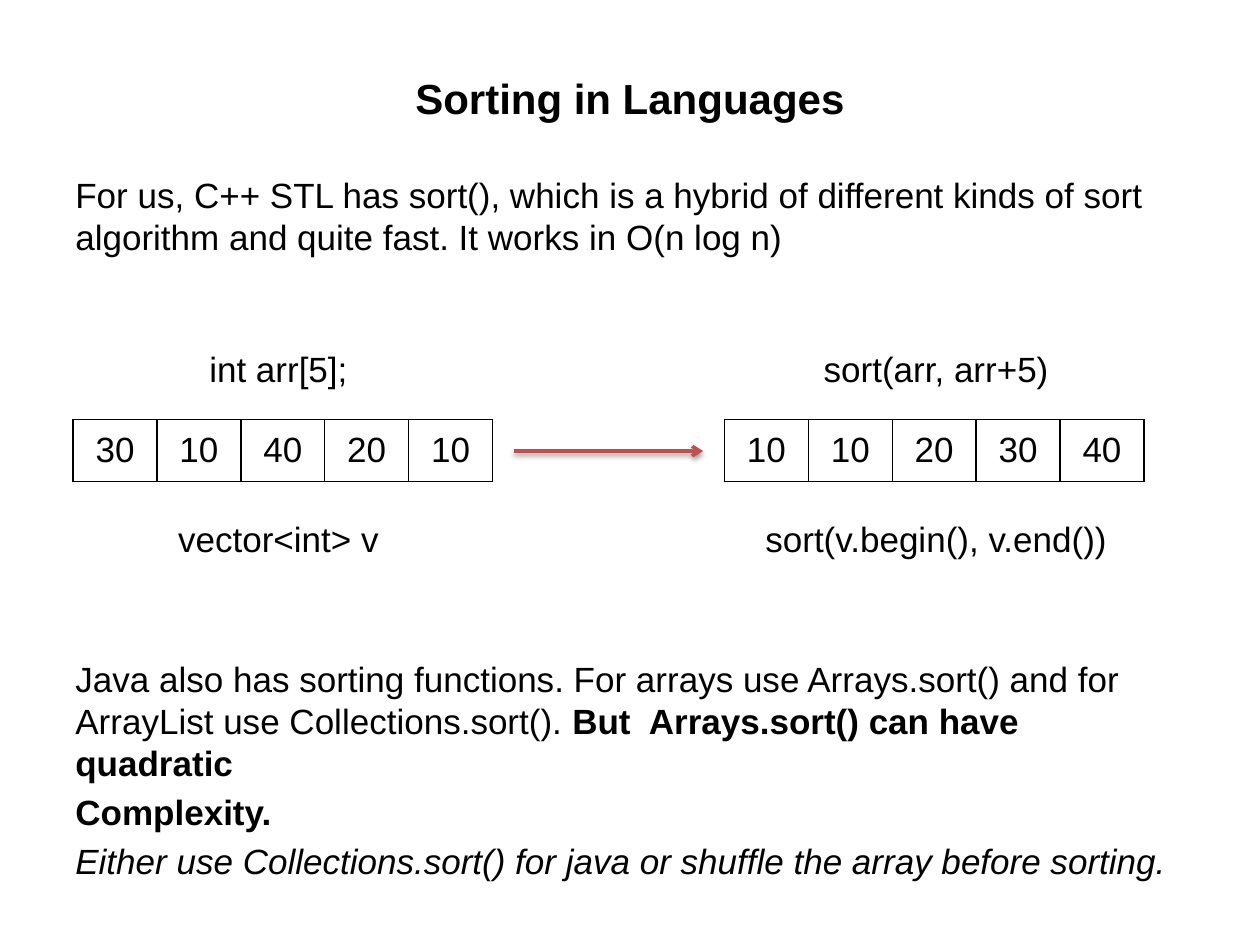
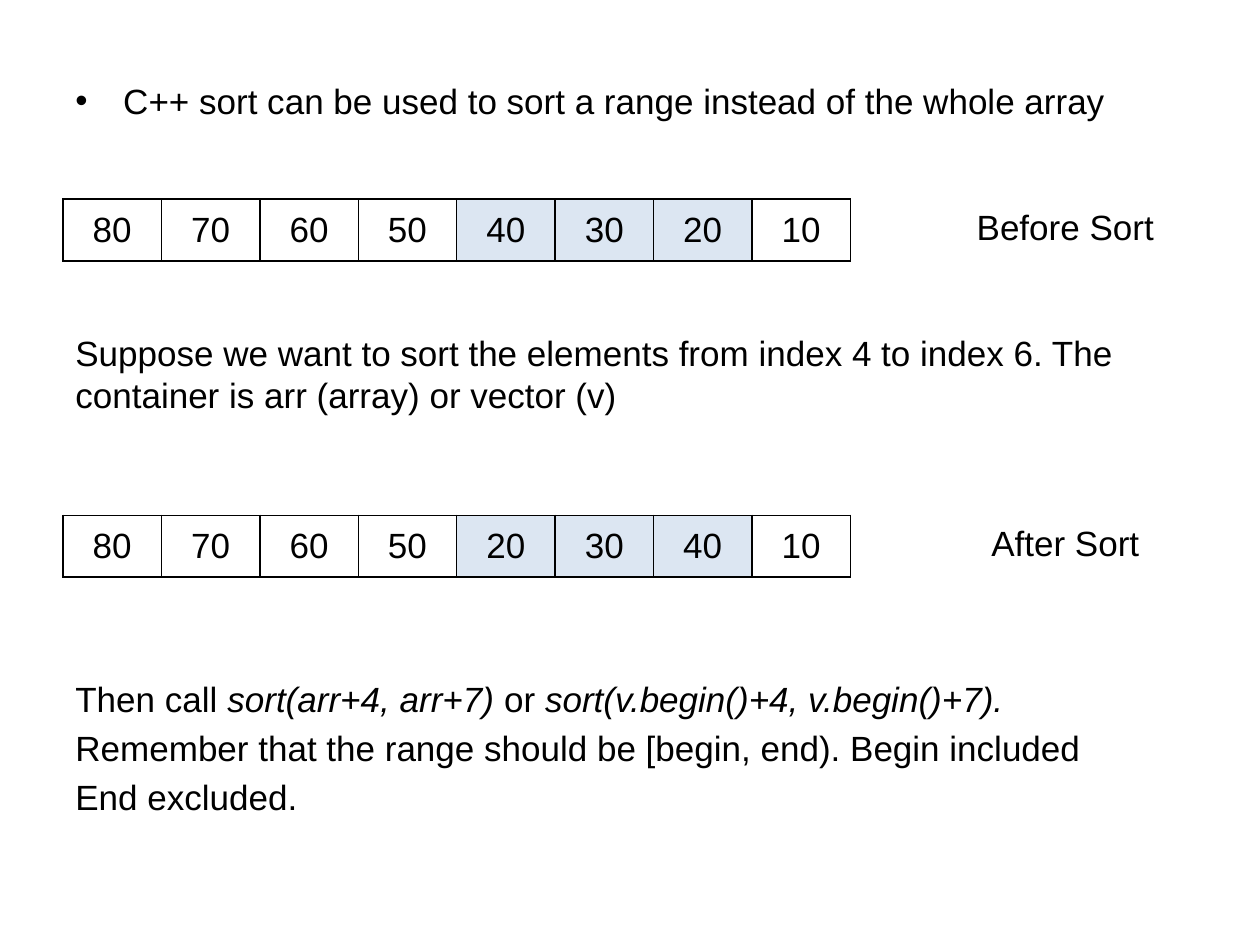
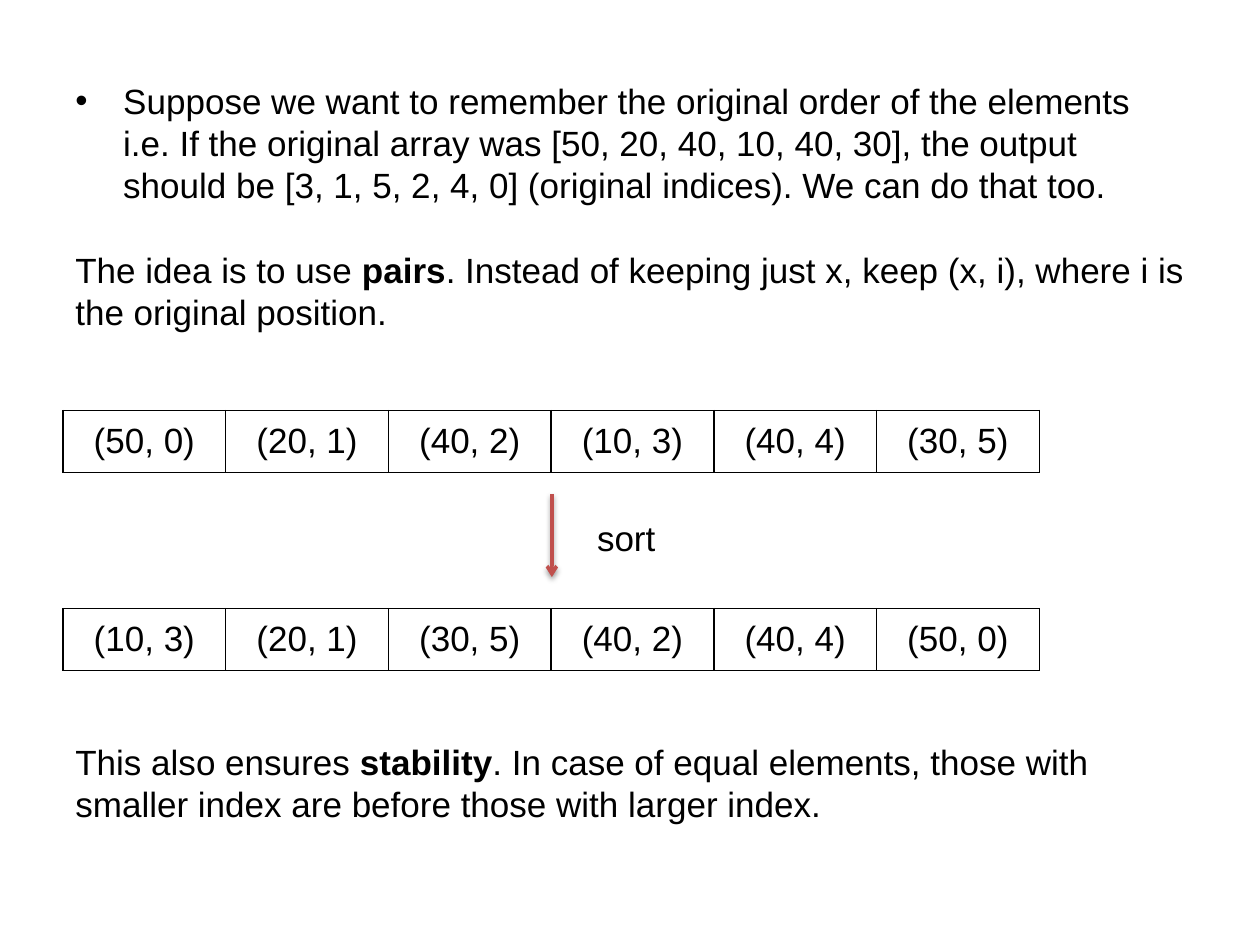
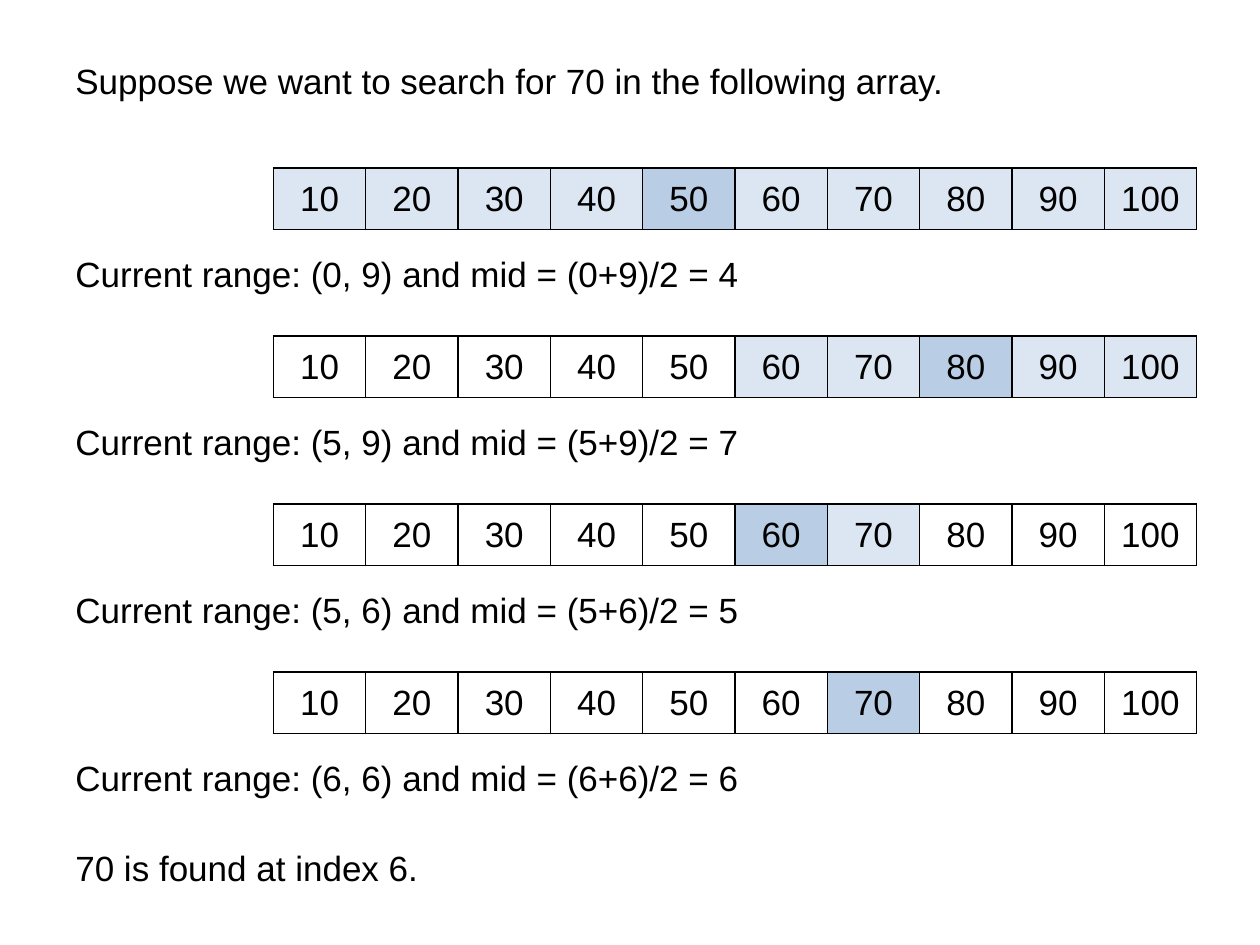
from lxml import etree
from pptx import Presentation
from pptx.dml.color import RGBColor
from pptx.enum import shapes, text
from pptx.oxml import ns
from pptx.util import Emu, Inches, Pt

COLORS = {
    "text": "000000",
    "border": "000000",
    "cell": "FFFFFF",
    "range": "DCE6F2",
    "mid": "B9CDE5",
    "arrow": "C0504D",
    "shadow": "000000",
}
FONT = "Arial"
BODY_SIZE, TITLE_SIZE = 20, 24
LEFT, WIDTH = Inches(0.5), Inches(9)
ROW_H, LABEL_H = Inches(0.49), Inches(0.44)
CENTER = text.PP_ALIGN.CENTER


def rgb(name):
    return RGBColor.from_string(COLORS[name])


def sub(parent, tag, **attrs):
    return etree.SubElement(parent, ns.qn(tag), {k: str(v) for k, v in attrs.items()})


def style_run(r, style="", size=BODY_SIZE):
    """Apply the deck font; style may hold b (bold) and i (italic)."""
    r.font.name, r.font.size = FONT, Pt(size)
    r.font.color.rgb = rgb("text")
    r.font.bold = "b" in style
    r.font.italic = "i" in style


def add_text(slide, box, *paragraphs, align=None, before=4, size=BODY_SIZE, bullet=False):
    """Each paragraph is a string or a list of (text, style) runs."""
    tf = slide.shapes.add_textbox(*box).text_frame
    tf.word_wrap = True
    for i, runs in enumerate(paragraphs):
        p = tf.paragraphs[0] if i == 0 else tf.add_paragraph()
        p.alignment, p.space_before = align, Pt(before)
        for content, style in [(runs, "")] if isinstance(runs, str) else runs:
            r = p.add_run()
            r.text = content
            style_run(r, style, size)
        if bullet:
            pPr = p._p.get_or_add_pPr()
            pPr.set("marL", str(Inches(0.38)))
            pPr.set("indent", str(-Inches(0.38)))
            sub(pPr, "a:buFont", typeface=FONT)
            sub(pPr, "a:buChar", char="•")
    return tf


def body(slide, top, height, *paragraphs, **options):
    return add_text(slide, (LEFT, Inches(top), WIDTH, Inches(height)), *paragraphs, **options)


def title(slide, content):
    tf = body(slide, 0.3, 0.95, [(content, "b")], align=CENTER, before=0, size=TITLE_SIZE)
    tf.vertical_anchor = text.MSO_ANCHOR.MIDDLE


def label(slide, box, content, align=CENTER):
    add_text(slide, box, content, align=align, before=0)


def border_cell(cell):
    tcPr = cell._tc.get_or_add_tcPr()
    for side in ("L", "R", "T", "B"):
        ln = sub(tcPr, f"a:ln{side}", w=Pt(1))
        sub(sub(ln, "a:solidFill"), "a:srgbClr", val=COLORS["border"])


def array(slide, left, top, width, values, fills=None):
    """Draw values as one row of cells; fills maps an index to a colour name."""
    table = slide.shapes.add_table(1, len(values), left, top, width, ROW_H).table
    table.first_row = table.horz_banding = False
    for i, value in enumerate(values):
        table.columns[i].width = Emu(width // len(values))
        cell = table.cell(0, i)
        border_cell(cell)
        cell.fill.solid()
        cell.fill.fore_color.rgb = rgb((fills or {}).get(i, "cell"))
        cell.vertical_anchor = text.MSO_ANCHOR.MIDDLE
        p = cell.text_frame.paragraphs[0]
        p.text, p.alignment = str(value), CENTER
        style_run(p.runs[0])


def arrow(slide, *ends):
    c = slide.shapes.add_connector(shapes.MSO_CONNECTOR.STRAIGHT, *map(Inches, ends))
    c.line.color.rgb, c.line.width = rgb("arrow"), Pt(2)
    sub(c.line._get_or_add_ln(), "a:tailEnd", type="arrow")
    effects = sub(c._element.spPr, "a:effectLst")
    shadow = sub(effects, "a:outerShdw", blurRad=Pt(3.1), dist=Pt(1.6),
                 dir=90 * 60000, rotWithShape=0)
    sub(sub(shadow, "a:srgbClr", val=COLORS["shadow"]), "a:alpha", val=38000)


def captioned_array(slide, left, top, label_dx, above, values, below):
    """An array with one caption over it and one under it."""
    array(slide, left, top + Inches(0.62), Inches(3.33), values)
    for dy, caption in ((0, above), (1.35, below)):
        label(slide, (left + Inches(label_dx), top + Inches(dy), Inches(2.92), LABEL_H), caption)


def sort_state(slide, top, values, caption):
    """An array with the sorted range tinted and its state named at the right."""
    array(slide, LEFT, top, Inches(6.25), values, dict.fromkeys(range(4, 7), "range"))
    add_text(slide, (Inches(7.33), top, Inches(2.25), Inches(0.58)), caption, align=CENTER)


def search_step(slide, top, values, low, high):
    """One binary search step: the array with its range and middle, and the sum."""
    mid = (low + high) // 2
    fills = dict.fromkeys(range(low, high + 1), "range") | {mid: "mid"}
    array(slide, Inches(2.17), top, Inches(7.33), values, fills)
    add_text(slide, (LEFT, top + Inches(0.62), WIDTH, Inches(0.58)),
             f"Current range: ({low}, {high}) and mid = ({low}+{high})/2 = {mid}")
    return mid


def languages_slide(slide):
    title(slide, "Sorting in Languages")
    body(slide, 1.33, 1, "For us, C++ STL has sort(), which is a hybrid of different kinds "
         "of sort algorithm and quite fast. It works in O(n log n)")
    values = [30, 10, 40, 20, 10]
    top = Inches(2.71)
    captioned_array(slide, Inches(0.58), top, 0.17, "int arr[5];", values, "vector<int> v")
    arrow(slide, 4.08, 3.58, 5.58, 3.58)
    captioned_array(slide, Inches(5.75), top, 0.22, "sort(arr, arr+5)", sorted(values),
                    "sort(v.begin(), v.end())")
    body(slide, 5.17, 2,
         [("Java also has sorting functions. For arrays use Arrays.sort() and for "
           "ArrayList use Collections.sort(). ", ""),
          ("But  Arrays.sort() can have quadratic", "b")],
         [("Complexity.", "b")],
         [("Either use Collections.sort() for java or shuffle the array before sorting.", "i")])


def range_slide(slide):
    body(slide, 0.58, 0.67, "C++ sort can be used to sort a range instead of the whole array",
         bullet=True)
    values = list(range(80, 0, -10))
    sort_state(slide, Inches(1.58), values, "Before Sort")
    body(slide, 2.58, 0.92, "Suppose we want to sort the elements from index 4 to index 6. "
         "The container is arr (array) or vector (v)")
    sort_state(slide, Inches(4.09), values[:4] + sorted(values[4:7]) + values[7:], "After Sort")
    body(slide, 5.33, 1.58,
         [("Then call ", ""), ("sort(arr+4, arr+7) ", "i"), ("or ", ""),
          ("sort(v.begin()+4, v.begin()+7).", "i")],
         "Remember that the range should be [begin, end). Begin included",
         "End excluded.")


def pairs_slide(slide):
    values = [50, 20, 40, 10, 40, 30]
    body(slide, 0.58, 1.25, "Suppose we want to remember the original order of the elements "
         f"i.e. If the original array was {values}, the output should be "
         "[3, 1, 5, 2, 4, 0] (original indices). We can do that too.", bullet=True)
    body(slide, 1.92, 1,
         [("The idea is to use ", ""), ("pairs", "b"),
          (". Instead of keeping just x, keep (x, i), where i is the original position.", "")])
    pairs = [(x, i) for i, x in enumerate(values)]
    for top, row in ((3.26, pairs), (4.83, sorted(pairs))):
        array(slide, LEFT, Inches(top), Inches(7.75), row)
    arrow(slide, 4.38, 3.92, 4.38, 4.58)
    label(slide, (Inches(4.64), Inches(4.05), Inches(2), LABEL_H), "sort", align=None)
    body(slide, 5.83, 1,
         [("This also ensures ", ""), ("stability", "b"),
          (". In case of equal elements, those with smaller index are before those "
           "with larger index.", "")])


def search_slide(slide):
    values, target = list(range(10, 101, 10)), 70
    body(slide, 0.42, 0.75, f"Suppose we want to search for {target} in the following array.")
    low, high, mid, step = 0, len(values) - 1, None, 0
    while mid is None or values[mid] != target:
        step += 1
        mid = search_step(slide, Inches(4 * step / 3), values, low, high)
        if values[mid] < target:
            low = mid + 1
        else:
            high = mid - 1
    body(slide, 6.67, 0.58, f"{target} is found at index {mid}.")


def main():
    prs = Presentation()
    prs.slide_width, prs.slide_height = Inches(10), Inches(7.5)
    for build in (languages_slide, range_slide, pairs_slide, search_slide):
        build(prs.slides.add_slide(prs.slide_layouts[6]))
    prs.save("out.pptx")


if __name__ == "__main__":
    main()
